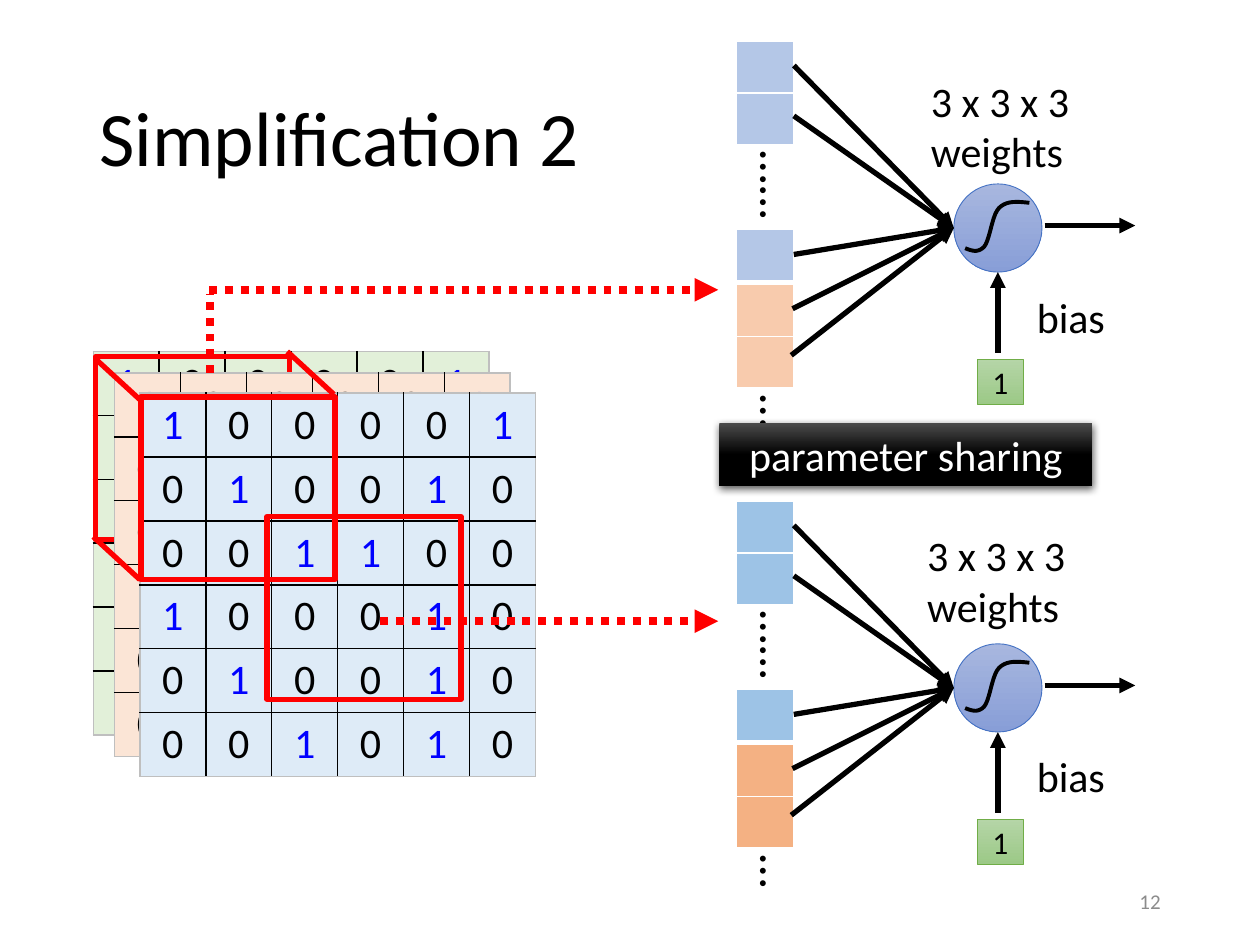
from dataclasses import dataclass
from lxml.etree import SubElement
from pptx import Presentation
from pptx.dml.color import RGBColor as RGB
from pptx.enum.dml import MSO_LINE
from pptx.enum.shapes import MSO_CONNECTOR, MSO_SHAPE as SHAPE
from pptx.enum.text import MSO_ANCHOR as ANCHOR, PP_ALIGN as ALIGN
from pptx.oxml.ns import qn
from pptx.util import Inches, Pt


@dataclass(frozen=True)
class Theme:
    font: str = "Calibri"
    black: str = "000000"
    white: str = "FFFFFF"
    grey: str = "8C8C8C"
    edge: str = "BFBFBF"
    red: str = "FF0000"
    one: str = "0000FF"
    planes: tuple = ("E2F0D9", "FBE5D6", "DEEBF7")
    inputs: tuple = (("B4C7E7", "F8CBAD"), ("9DC3E6", "F4B183"))
    neuron: tuple = ("A8B7DF", "889ED7", 1)
    neuron_edge: str = "4472C4"
    bias: tuple = ("B5D5A7", "9CC987", 1)
    bias_edge: str = "70AD47"
    badge: tuple = ("4B4B4B", "000000", 0.5)
    title: int = 44
    dots: int = 28
    body: int = 24
    unit: int = 18
    number: int = 12


T = Theme()
prs = Presentation()
prs.slide_width, prs.slide_height = Inches(10), Inches(7.5)
s = prs.slides.add_slide(prs.slide_layouts[5])


def add_line(x1, y1, x2, y2, color=T.black, width=3, arrow=True, dotted=False):
    c = s.shapes.add_connector(MSO_CONNECTOR.STRAIGHT, *map(Inches, (x1, y1, x2, y2)))
    c.line.color.rgb, c.line.width = RGB.from_string(color), Pt(width)
    if dotted:
        c.line.dash_style = MSO_LINE.ROUND_DOT
    if arrow:
        SubElement(c.line._get_or_add_ln(), qn("a:tailEnd"), type="triangle")
    SubElement(c._element.spPr, qn("a:effectLst"))


def add_grid(x, y, width, row_height, rows, fill, inner, outer):
    n, m = len(rows), len(rows[0])
    frame = s.shapes.add_table(n, m, *map(Inches, (x, y, width, row_height * n)))
    tbl = frame.table
    tbl.first_row = tbl.horz_banding = False
    for i, row in enumerate(rows):
        for j, value in enumerate(row):
            cell = tbl.cell(i, j)
            tcPr = cell._tc.get_or_add_tcPr()
            at_edge = {"lnL": j == 0, "lnR": j == m - 1, "lnT": i == 0, "lnB": i == n - 1}
            for side, is_edge in at_edge.items():
                ln = SubElement(tcPr, qn(f"a:{side}"), w=str(Pt(1)))
                SubElement(SubElement(ln, qn("a:solidFill")), qn("a:srgbClr"), val=outer if is_edge else inner)
            cell.fill.solid()
            cell.fill.fore_color.rgb = RGB.from_string(fill)
            if value.strip():
                p = cell.text_frame.paragraphs[0]
                p.alignment = ALIGN.CENTER
                r = p.add_run()
                r.text = value
                r.font.name, r.font.size = T.font, Pt(T.body)
                r.font.color.rgb = RGB.from_string(T.one if value == "1" else T.black)


texts = [(s.shapes.title, "Simplification 2", T.title, T.black, ALIGN.LEFT)]
for name, value in dict(left=0.69, top=0.4, width=8.62, height=1.45).items():
    setattr(s.shapes.title, name, Inches(value))

PIXELS = ("100001", "010010", "001100", "100010", "010010", "001010")
PLANES = (
    (0.74, 2.79, [(0.76, 2.83)]),
    (0.91, 2.96, []),
    (1.11, 3.12, [(1.12, 3.15), (2.12, 4.1)]),
)
for (x, y, fields), color in zip(PLANES, T.planes):
    add_grid(x, y, 3.14, 0.5, PIXELS, color, T.black, T.edge)
    for fx, fy in fields:
        field = s.shapes.add_shape(SHAPE.RECTANGLE, *map(Inches, (fx, fy, 1.54, 1.45)))
        field.shadow.inherit = False
        field.fill.background()
        field.line.color.rgb, field.line.width = RGB.from_string(T.red), Pt(3)
for x, y in ((0.74, 4.26), (2.28, 2.79), (0.76, 2.85)):
    add_line(x, y, x + 0.37, y + 0.34, T.red, arrow=False)

BEZIERS = (
    ((8.17, 1.61), (8.08, 1.6), (7.99, 1.59), (7.93, 1.65)),
    ((7.93, 1.65), (7.87, 1.71), (7.86, 1.9), (7.81, 1.96)),
    ((7.81, 1.96), (7.76, 2.01), (7.71, 1.99), (7.66, 1.97)),
)
STEPS = 10
gradients = []
for dy, weights_at, (cool, warm) in zip((0, 3.65), ((7.29, 0.54), (7.26, 4.15)), T.inputs):
    for y, count, color in ((0.33, 2, cool), (1.82, 1, cool), (2.26, 2, warm)):
        add_grid(5.84, y + dy, 0.46, 0.41, [" "] * count, color, T.white, T.white)

    labels = (
        ("…...", 5.78, 1.22 + dy, 0.82, 0.57, T.dots, 90),
        ("…", 5.78, 3.16 + dy, 0.82, 0.57, T.dots, 90),
        ("3 x 3 x 3 weights", *weights_at, 1.31, 0.91, T.body, 0),
        ("bias", 8.13, 2.26 + dy, 1.31, 0.5, T.body, 0),
    )
    for text, x, y, w, h, size, rotation in labels:
        box = s.shapes.add_textbox(*map(Inches, (x, y, w, h)))
        box.rotation = rotation
        texts.append((box, text, size, T.black, ALIGN.LEFT))

    neuron = s.shapes.add_group_shape()
    body = neuron.shapes.add_shape(SHAPE.OVAL, *map(Inches, (7.57, 1.46 + dy, 0.7, 0.7)))
    gradients.append((body, T.neuron, T.neuron_edge))
    points = []
    for curve in BEZIERS:
        for k in range(1, STEPS + 1):
            t = k / STEPS
            mix = ((1 - t) ** 3, 3 * t * (1 - t) ** 2, 3 * t * t * (1 - t), t ** 3)
            px, py = (sum(f * pt[axis] for f, pt in zip(mix, curve)) for axis in (0, 1))
            points.append((Inches(px), Inches(py + dy)))
    fb = neuron.shapes.build_freeform(Inches(8.17), Inches(1.61 + dy))
    fb.add_line_segments(points, close=False)
    sigmoid = fb.convert_to_shape()
    sigmoid.shadow.inherit = False
    sigmoid.fill.background()
    sigmoid.line.color.rgb, sigmoid.line.width = RGB.from_string(T.black), Pt(2.25)

    for x, y in ((6.3, 0.52), (6.3, 0.92), (6.3, 2.02), (6.29, 2.45), (6.28, 2.82)):
        add_line(x, y + dy, 7.57, 1.81 + dy)
    add_line(8.29, 1.79 + dy, 9.01, 1.79 + dy)
    add_line(7.92, 2.8 + dy, 7.92, 2.16 + dy)
    unit = s.shapes.add_shape(SHAPE.RECTANGLE, *map(Inches, (7.76, 2.85 + dy, 0.36, 0.36)))
    gradients.append((unit, T.bias, T.bias_edge))
    texts.append((unit, "1", T.unit, T.black, ALIGN.CENTER))

add_line(1.67, 2.96, 1.67, 2.33, T.red, 4.5, arrow=False, dotted=True)
add_line(1.66, 2.3, 5.7, 2.3, T.red, 4.5, dotted=True)
add_line(3.02, 4.93, 5.7, 4.93, T.red, 4.5, dotted=True)

badge = s.shapes.add_shape(SHAPE.RECTANGLE, *map(Inches, (5.71, 3.36, 2.96, 0.5)))
gradients.append((badge, T.badge, None))
texts.append((badge, "parameter sharing", T.body, T.white, ALIGN.CENTER))
number = s.shapes.add_textbox(*map(Inches, (7.06, 6.95, 2.25, 0.4)))
texts.append((number, "12", T.number, T.grey, ALIGN.RIGHT))

for sp, (start, end, position), edge in gradients:
    sp.shadow.inherit = False
    sp.fill.gradient()
    sp.fill.gradient_angle = 270
    first, last = sp.fill.gradient_stops
    first.color.rgb, last.color.rgb = RGB.from_string(start), RGB.from_string(end)
    last.position = position
    if edge:
        sp.line.color.rgb, sp.line.width = RGB.from_string(edge), Pt(0.5)
    else:
        sp.line.fill.background()

effects = badge._element.spPr.find(qn("a:effectLst"))
shadow = SubElement(effects, qn("a:outerShdw"), blurRad=str(Pt(4.5)), dist=str(Pt(1.5)), dir="5400000")
shade = SubElement(shadow, qn("a:srgbClr"), val=T.black)
SubElement(shade, qn("a:alpha"), val="63000")

for sp, text, size, color, align in texts:
    tf = sp.text_frame
    tf.word_wrap, tf.vertical_anchor = True, ANCHOR.MIDDLE
    p = tf.paragraphs[0]
    p.alignment = align
    r = p.add_run()
    r.text = text
    for name, value in dict(name=T.font, size=Pt(size)).items():
        setattr(r.font, name, value)
    r.font.color.rgb = RGB.from_string(color)
s.shapes.title.text_frame.paragraphs[0].line_spacing = 0.9

prs.save("out.pptx")
